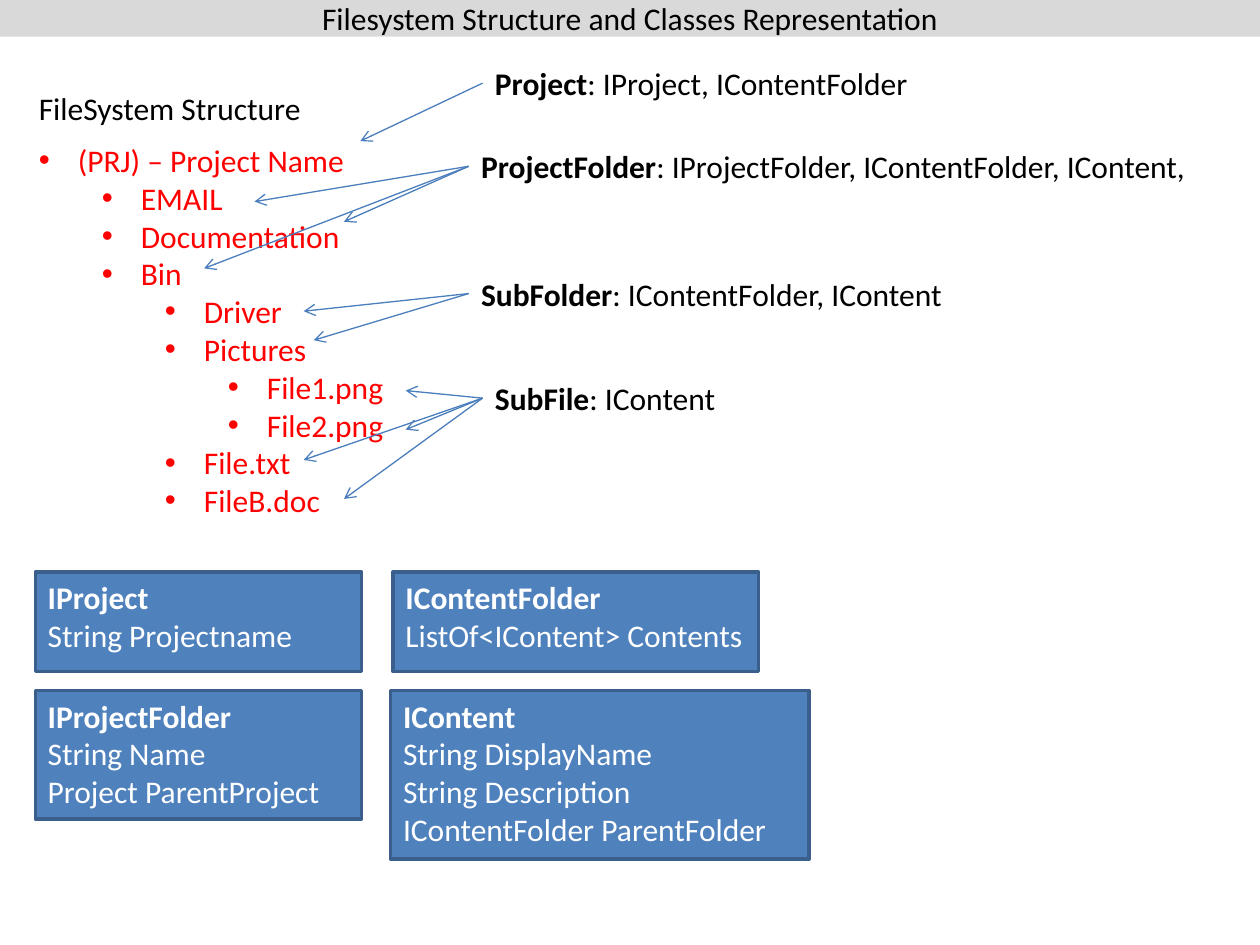
from dataclasses import dataclass

from lxml import etree
from pptx import Presentation
from pptx.dml.color import RGBColor
from pptx.enum.shapes import MSO_CONNECTOR, MSO_SHAPE
from pptx.enum.text import MSO_ANCHOR, MSO_AUTO_SIZE, PP_ALIGN
from pptx.oxml.ns import qn
from pptx.util import Inches, Pt

RECT, LINE = MSO_SHAPE.RECTANGLE, MSO_CONNECTOR.STRAIGHT
TOP, MIDDLE = MSO_ANCHOR.TOP, MSO_ANCHOR.MIDDLE
GROW, FIXED = MSO_AUTO_SIZE.SHAPE_TO_FIT_TEXT, MSO_AUTO_SIZE.NONE
LEFT, CENTER = PP_ALIGN.LEFT, PP_ALIGN.CENTER

BLACK = RGBColor(0, 0, 0)
WHITE = RGBColor(255, 255, 255)
RED = RGBColor(255, 0, 0)
GREY = RGBColor(0xD9, 0xD9, 0xD9)
BLUE = RGBColor(0x4F, 0x81, 0xBD)
EDGE = RGBColor(0x3A, 0x5F, 0x8C)
WIRE = RGBColor(0x4B, 0x7E, 0xBC)

# The slide is a grid of 100 columns and 75 rows
WIDE, HIGH = Inches(10), Inches(7.5)
COL, ROW = WIDE / 100, HIGH / 75
TEXT_ROWS = 4
FORMAT = {"name": "Calibri", "size": Pt(18)}


@dataclass
class Label:
    name: str
    faces: str
    col: float
    row: float
    width: float
    tips: list[tuple[float, float]]


@dataclass
class Card:
    name: str
    fields: list[str]
    col: float
    row: float
    width: float
    height: float


TREE = [
    (0, "(PRJ) – Project Name"),
    (1, "EMAIL"),
    (1, "Documentation"),
    (1, "Bin"),
    (2, "Driver"),
    (2, "Pictures"),
    (3, "File1.png"),
    (3, "File2.png"),
    (2, "File.txt"),
    (2, "FileB.doc"),
]
LABELS = [
    Label("Project", "IProject, IContentFolder", 38.3, 4.6, 34.9, [(28.6, 11.2)]),
    Label("ProjectFolder", "IProjectFolder, IContentFolder, IContent,", 37.2, 11.2, 58.2,
          [(20.2, 16), (27.3, 17.6), (16.2, 21.3)]),
    Label("SubFolder", "IContentFolder, IContent", 37.2, 21.3, 39.4,
          [(24.1, 24.7), (24.9, 27)]),
    Label("SubFile", "IContent", 38.3, 29.6, 19.5,
          [(32.2, 31), (32.2, 34.1), (24.1, 36.5), (27.3, 39.6)]),
]
CARDS = [
    Card("IProject", ["String Projectname"], 2.8, 45.4, 25.9, 7.9),
    Card("IProjectFolder", ["String Name", "Project ParentProject"], 2.8, 54.8, 25.9, 10.2),
    Card("IContentFolder", ["ListOf<IContent> Contents"], 31.2, 45.4, 29, 7.9),
    Card("IContent", ["String DisplayName", "String Description", "IContentFolder ParentFolder"],
         31, 54.8, 33.2, 13.4),
]


def area(col: float, row: float, width: float, height: float) -> list[int]:
    return [round(v) for v in (col * COL, row * ROW, width * COL, height * ROW)]


def write(para, text: str, color: RGBColor, bold: bool = False) -> None:
    run = para.add_run()
    run.text = text
    for key, value in (FORMAT | {"bold": bold}).items():
        setattr(run.font, key, value)
    run.font.color.rgb = color


def add_text(slide, col: float, row: float, width: float, height: float = TEXT_ROWS):
    frame = slide.shapes.add_textbox(*area(col, row, width, height)).text_frame
    frame.word_wrap = False
    frame.auto_size = GROW
    return frame


def next_para(frame, index: int):
    return frame.add_paragraph() if index else frame.paragraphs[0]


def add_tree(slide) -> None:
    frame = add_text(slide, 2.1, 10.7, 29.7, 31.3)
    for i, (level, text) in enumerate(TREE):
        para = next_para(frame, i)
        para.level = level
        props = para._p.get_or_add_pPr()
        props.set("marL", str(Inches(0.31 + level * 0.5)))
        props.set("indent", str(-Inches(0.31)))
        etree.SubElement(props, qn("a:buFont")).set("typeface", "Arial")
        etree.SubElement(props, qn("a:buChar")).set("char", "•")
        write(para, text, RED)


def add_label(slide, label: Label) -> None:
    para = add_text(slide, label.col, label.row, label.width).paragraphs[0]
    write(para, label.name, BLACK, True)
    write(para, f": {label.faces}", BLACK)


def add_arrows(slide, label: Label) -> None:
    for tip in label.tips:
        ends = area(label.col, label.row + TEXT_ROWS / 2, *tip)
        arrow = slide.shapes.add_connector(LINE, *ends)
        arrow.line.color.rgb = WIRE
        arrow.line.width = Pt(0.75)
        etree.SubElement(arrow.line._get_or_add_ln(), qn("a:tailEnd")).set("type", "arrow")
        etree.SubElement(arrow._element.spPr, qn("a:effectLst"))


def add_card(slide, card: Card) -> None:
    box = slide.shapes.add_shape(RECT, *area(card.col, card.row, card.width, card.height))
    box.shadow.inherit = False
    box.fill.solid()
    box.fill.fore_color.rgb = BLUE
    box.line.color.rgb = EDGE
    box.line.width = Pt(2)
    frame = box.text_frame
    frame.vertical_anchor = TOP
    for i, text in enumerate([card.name, *card.fields]):
        para = next_para(frame, i)
        para.alignment = LEFT
        write(para, text, WHITE, i == 0)


deck = Presentation()
deck.slide_width, deck.slide_height = WIDE, HIGH
slide = deck.slides.add_slide(deck.slide_layouts[5])

# Title bar
title = slide.shapes.title
title.left, title.top, title.width, title.height = area(0, 0, 100, 2.9)
title.fill.solid()
title.fill.fore_color.rgb = GREY
title.text_frame.auto_size = FIXED
title.text_frame.vertical_anchor = MIDDLE
head = title.text_frame.paragraphs[0]
head.alignment = CENTER
write(head, "Filesystem Structure and Classes Representation", BLACK)

# Folder tree and its heading
add_tree(slide)
write(add_text(slide, 2.1, 6.6, 23).paragraphs[0], "FileSystem Structure", BLACK)

# Class labels, then the arrows to the tree
for draw in (add_label, add_arrows):
    for label in LABELS:
        draw(slide, label)

# Interface cards
for card in CARDS:
    add_card(slide, card)

deck.save("out.pptx")
